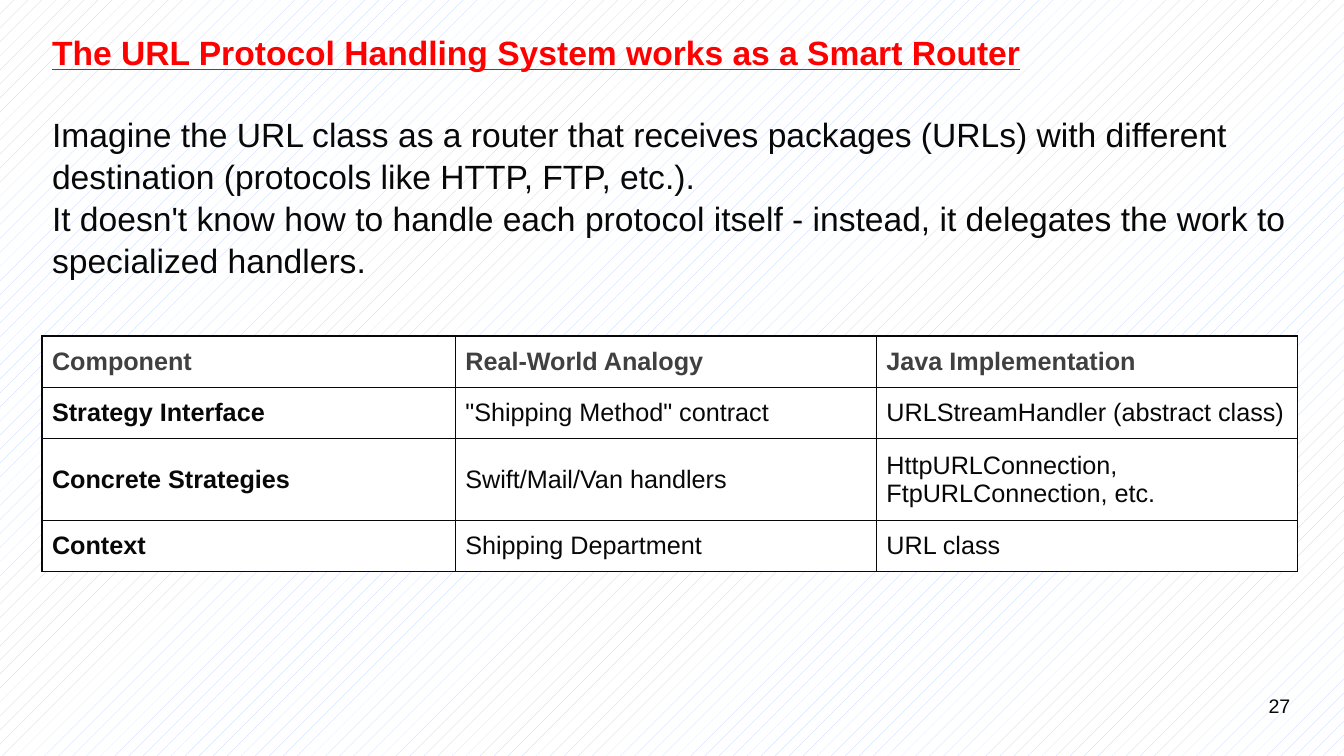
"""Build the slide on URL protocol handling as a smart router."""
from dataclasses import astuple, dataclass

from lxml import etree
from pptx import Presentation
from pptx import util as u
from pptx.dml.color import RGBColor
from pptx.enum import dml, text
from pptx.oxml.ns import qn

RED = RGBColor(0xFF, 0x00, 0x00)
INK = RGBColor(0x08, 0x08, 0x08)
GREY = RGBColor(0x40, 0x40, 0x40)
WHITE = RGBColor(0xFF, 0xFF, 0xFF)
PALE_BLUE = RGBColor(0xBB, 0xD2, 0xFF)

FONT = "Arial"
LEFT = 30
LINE = 29
COLUMN_WIDTHS = (295.2, 300.8, 300.8)
ROW_HEIGHTS = (36.7, 36.7, 58.3, 36.7)


@dataclass(frozen=True)
class ComponentRow:
    component: str
    analogy: str
    implementation: str


ROWS = (
    ComponentRow("Component", "Real-World Analogy", "Java Implementation"),
    ComponentRow("Strategy Interface", '"Shipping Method" contract',
                 "URLStreamHandler (abstract class)"),
    ComponentRow("Concrete Strategies", "Swift/Mail/Van handlers",
                 "HttpURLConnection, FtpURLConnection, etc."),
    ComponentRow("Context", "Shipping Department", "URL class"),
)
BODY = (
    "Imagine the URL class as a router that receives packages (URLs) with "
    "different destination (protocols like HTTP, FTP, etc.).",
    "It doesn't know how to handle each protocol itself - instead, it "
    "delegates the work to specialized handlers.",
)


def style(p, size: float, color: RGBColor, bold: bool = False,
          underline: bool = False) -> None:
    for r in p.runs:
        f = r.font
        f.name, f.size, f.bold, f.underline = FONT, u.Pt(size), bold, underline
        f.color.rgb = color


def place(sp, left: float, top: float, width: float, height: float) -> None:
    sp.left, sp.top = u.Pt(left), u.Pt(top)
    sp.width, sp.height = u.Pt(width), u.Pt(height)


def fill_placeholder(sp, lines: tuple[str, ...], top: float, height: float,
                     color: RGBColor, heading: bool = False) -> None:
    place(sp, LEFT, top, 912, height)
    tf = sp.text_frame
    tf.text = "\n".join(lines)
    tf.word_wrap = True
    tf.auto_size = text.MSO_AUTO_SIZE.NONE
    tf.vertical_anchor = text.MSO_ANCHOR.TOP
    for p in tf.paragraphs:
        pPr = p._p.get_or_add_pPr()
        pPr.set("marL", "0")
        pPr.set("indent", "0")
        etree.SubElement(pPr, qn("a:buNone"))
        p.alignment = text.PP_ALIGN.LEFT
        p.line_spacing = 1.05
        p.space_before = u.Pt(0)
        style(p, 24, color, heading, heading)


def add_borders(cell) -> None:
    tcPr = cell._tc.get_or_add_tcPr()
    for side in ("lnL", "lnR", "lnT", "lnB"):
        ln = etree.SubElement(tcPr, qn(f"a:{side}"), w=str(u.Pt(1)))
        fill = etree.SubElement(ln, qn("a:solidFill"))
        etree.SubElement(fill, qn("a:srgbClr"), val=str(INK))


def add_component_table(s) -> None:
    table = s.shapes.add_table(
        len(ROWS), len(COLUMN_WIDTHS), u.Pt(LEFT), u.Pt(240),
        u.Pt(sum(COLUMN_WIDTHS)), u.Pt(sum(ROW_HEIGHTS))).table
    for column, width in zip(table.columns, COLUMN_WIDTHS):
        column.width = u.Pt(width)
    for i, (row, height) in enumerate(zip(ROWS, ROW_HEIGHTS)):
        table.rows[i].height = u.Pt(height)
        for j, label in enumerate(astuple(row)):
            cell = table.cell(i, j)
            cell.text_frame.text = label
            cell.vertical_anchor = text.MSO_ANCHOR.MIDDLE
            cell.margin_left = cell.margin_right = u.Pt(7.2)
            cell.margin_top = cell.margin_bottom = u.Pt(7.2)
            add_borders(cell)
            cell.fill.solid()
            cell.fill.fore_color.rgb = WHITE
            style(cell.text_frame.paragraphs[0], 18,
                  GREY if i == 0 else INK, i == 0 or j == 0)


def add_page_number(s, number: str) -> None:
    sp = s.shapes.add_textbox(u.Pt(688), u.Pt(492), u.Pt(240.8), u.Pt(37.5))
    tf = sp.text_frame
    tf.text = number
    tf.word_wrap = True
    p = tf.paragraphs[0]
    p.alignment = text.PP_ALIGN.RIGHT
    style(p, 14, INK)


def main() -> None:
    prs = Presentation()
    prs.slide_width, prs.slide_height = u.Pt(960), u.Pt(540)
    s = prs.slides.add_slide(prs.slide_layouts[1])
    bg = s.background.fill
    bg.patterned()
    bg.pattern = dml.MSO_PATTERN.PERCENT_5
    bg.fore_color.rgb = PALE_BLUE
    bg.back_color.rgb = WHITE

    add_page_number(s, "27")
    fill_placeholder(
        s.shapes.title,
        ("The URL Protocol Handling System works as a Smart Router",),
        18, LINE + 7.2, RED, heading=True)
    fill_placeholder(s.placeholders[1], BODY, 18 + 2 * LINE, 4 * LINE + 7.2, INK)
    add_component_table(s)
    prs.save("out.pptx")


if __name__ == "__main__":
    main()
